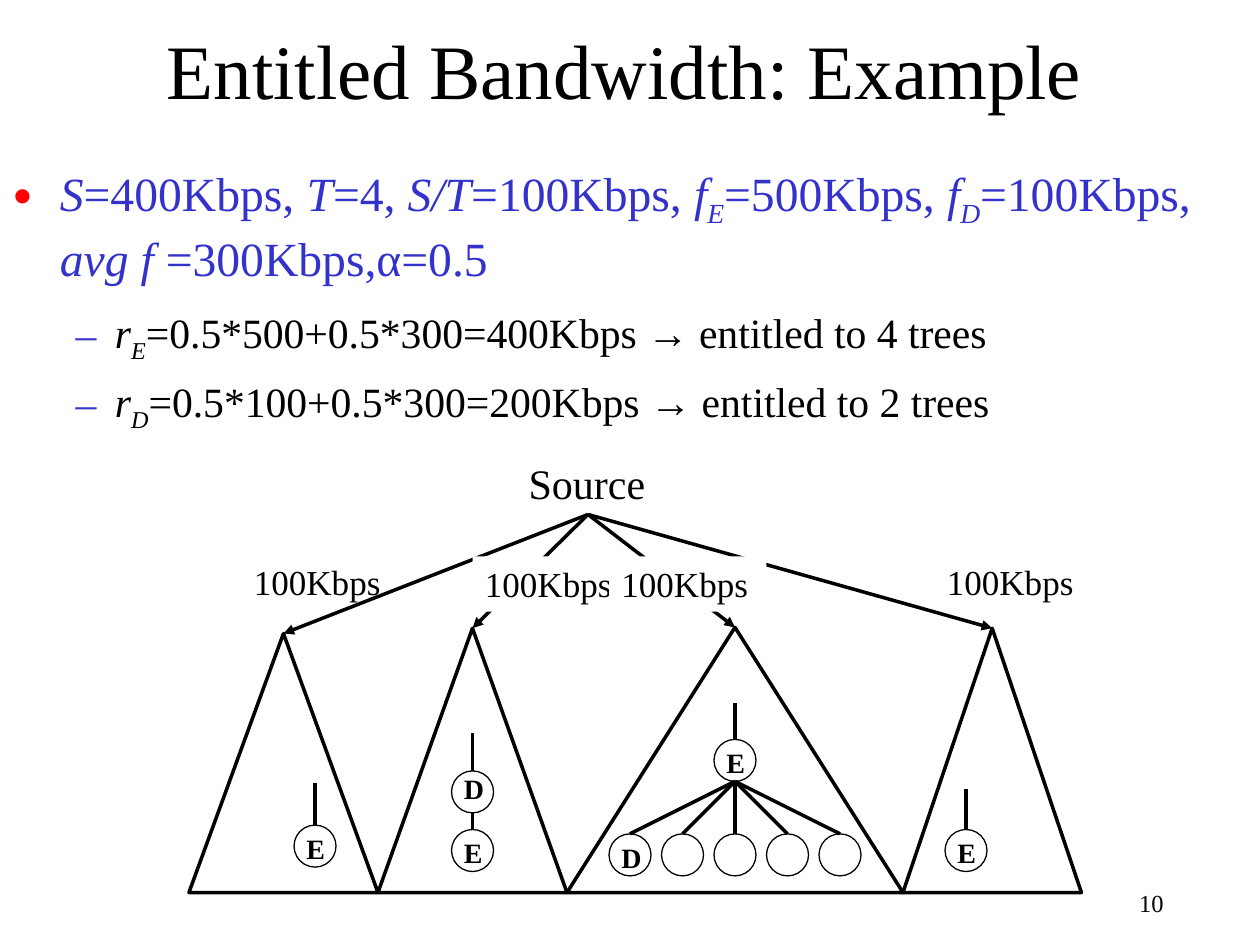
from dataclasses import dataclass
from typing import NamedTuple

import lxml.etree
import pptx
import pptx.dml.color
import pptx.enum.shapes
import pptx.enum.text
import pptx.oxml.ns
import pptx.util

Pt = pptx.util.Pt
qn = pptx.oxml.ns.qn
Kind = pptx.enum.shapes.MSO_SHAPE
Align = pptx.enum.text.PP_ALIGN
INK = {"black": "000000", "blue": "3333CC", "red": "FF0000", "white": "FFFFFF"}
FACE = "Times New Roman"
SIDE = 24  # diameter of a node
BASE = 510  # common foot of the trees


class Run(NamedTuple):
    text: str
    ital: bool = False
    sub: bool = False
    face: str = FACE


class Tree(NamedTuple):
    left: float
    top: float
    width: float

    @property
    def apex(self) -> tuple[float, float]:
        return self.left + self.width / 2, self.top


class Node(NamedTuple):
    mid: float
    top: float
    mark: str = ""
    stem: float = 0
    lift: float = 0


class Label(NamedTuple):
    left: float
    top: float
    fill: bool = True


@dataclass
class Item:
    runs: list[Run]
    size: float
    color: str
    mark: str
    tint: str
    scale: int
    left: float
    hang: float
    gap: float
    level: int = 0


def rgb(name: str) -> pptx.dml.color.RGBColor:
    return pptx.dml.color.RGBColor.from_string(INK[name])


def add_run(para, run: Run, size: float, color: str = "black", bold: bool = False) -> None:
    piece = para.add_run()
    piece.text = run.text
    font = piece.font
    font.name, font.size, font.bold = run.face, Pt(size), bold
    font.italic = run.ital
    font.color.rgb = rgb(color)
    if run.sub:
        font._element.set("baseline", "-25000")


def add_item(para, item: Item) -> None:
    para.level = item.level
    props = para._p.get_or_add_pPr()
    props.set("marL", str(Pt(item.left)))
    props.set("indent", str(-Pt(item.hang)))
    tint = lxml.etree.SubElement(props, qn("a:buClr"))
    lxml.etree.SubElement(tint, qn("a:srgbClr"), val=INK[item.tint])
    lxml.etree.SubElement(props, qn("a:buSzPct"), val=str(item.scale * 1000))
    lxml.etree.SubElement(props, qn("a:buFont"), typeface=FACE)
    lxml.etree.SubElement(props, qn("a:buChar"), char=item.mark)
    para.space_before = Pt(item.gap)
    for run in item.runs:
        add_run(para, run, item.size, item.color)


def place(shape, left: float, top: float, width: float, height: float) -> None:
    shape.left, shape.top, shape.width, shape.height = map(Pt, (left, top, width, height))


def add_text(slide, text: str, box: tuple, size: float, bold=False, align=Align.LEFT, fill=False) -> None:
    shape = slide.shapes.add_textbox(*map(Pt, box))
    if fill:
        shape.fill.solid()
        shape.fill.fore_color.rgb = rgb("white")
    shape.text_frame.word_wrap = True
    para = shape.text_frame.paragraphs[0]
    para.alignment = align
    add_run(para, Run(text), size, bold=bold)


def add_outline(slide, kind, box: tuple, weight: float) -> None:
    shape = slide.shapes.add_shape(kind, *map(Pt, box))
    shape.shadow.inherit = False
    shape.fill.background()
    shape.line.color.rgb = rgb("black")
    shape.line.width = Pt(weight)


def add_line(slide, start: tuple, end: tuple, arrow: bool = False) -> None:
    line = slide.shapes.add_connector(
        pptx.enum.shapes.MSO_CONNECTOR.STRAIGHT, *map(Pt, (*start, *end)))
    line.line.color.rgb = rgb("black")
    line.line.width = Pt(2)
    if arrow:
        lxml.etree.SubElement(line.line._get_or_add_ln(), qn("a:tailEnd"), type="triangle")
    lxml.etree.SubElement(line._element.spPr, qn("a:effectLst"))


def add_node(slide, node: Node) -> None:
    left = node.mid - SIDE / 2
    if node.stem:
        add_line(slide, (node.mid, node.top), (node.mid, node.top - node.stem))
    add_outline(slide, Kind.OVAL, (left, node.top, SIDE, SIDE), 0.75)
    if node.mark:
        add_text(slide, node.mark, (left, node.top - node.lift, SIDE, 26.6), 16, bold=True)


def rate(name: str, sum_: str, trees: int, gap: float) -> Item:
    runs = [Run("r", True), Run(name, True, True), Run(f"={sum_}Kbps "),
            Run("→", face="Arial"), Run(f" entitled to {trees} trees")]
    return Item(runs, 23.8, "black", "–", "blue", 100, 58.5, 22.5, gap, 1)


GIVEN = Item(
    [Run("S", True), Run("=400Kbps, "), Run("T", True), Run("=4, "),
     Run("S/T", True), Run("=100Kbps, "), Run("f", True), Run("E", True, True),
     Run("=500Kbps, "), Run("f", True), Run("D", True, True), Run("=100Kbps, "),
     Run("avg f ", True), Run("=300Kbps,α=0.5")],
    27.2, "blue", "•", "red", 125, 27, 27, 0)
ITEMS = [GIVEN, rate("E", "0.5*500+0.5*300=400", 4, 12), rate("D", "0.5*100+0.5*300=200", 2, 7)]
ROOT = (336, 294)
TREES = [Tree(108, 362, 108), Tree(216, 359, 108), Tree(324, 358.5, 192), Tree(516, 359, 102)]
LABELS = [Label(138, 317, False), Label(270, 318), Label(534, 317), Label(348, 318)]
HUB = Node(420, 422.5, "E", 21)
LEAVES = [Node(360 + 30 * i, 476.5, "" if i else "D") for i in range(5)]
NODES = [Node(180, 471.5, "E", 24), Node(270, 440.5, "D", 21.5, 3), Node(270, 474, "E", 9.5),
         HUB, Node(552, 474, "E", 23), *LEAVES]


def main() -> None:
    deck = pptx.Presentation()
    deck.slide_width, deck.slide_height = Pt(720), Pt(540)
    slide = deck.slides.add_slide(deck.slide_layouts[1])

    title, body = slide.placeholders[0], slide.placeholders[1]
    place(title, 6, 0, 702, 78)
    add_run(title.text_frame.paragraphs[0], Run("Entitled Bandwidth: Example"), 44)
    place(body, 0, 90, 720, 168.5)
    frame = body.text_frame
    for holder in (title, body):
        holder.text_frame.auto_size = pptx.enum.text.MSO_AUTO_SIZE.NONE
    for i, item in enumerate(ITEMS):
        add_item(frame.add_paragraph() if i else frame.paragraphs[0], item)

    add_text(slide, "Source", (295, 258, 83, 36), 24)
    for tree in TREES:
        add_outline(slide, Kind.ISOSCELES_TRIANGLE, (*tree, BASE - tree.top), 2)
        add_line(slide, ROOT, tree.apex, arrow=True)
    for node in NODES:
        add_node(slide, node)
    for leaf in LEAVES:
        add_line(slide, (HUB.mid, HUB.top + SIDE), (leaf.mid, leaf.top))
    for label in LABELS:
        add_text(slide, "100Kbps", (label.left, label.top, 90, 31.5), 20, fill=label.fill)
    add_text(slide, "10", (522, 504, 150, 36), 14, align=Align.RIGHT)

    deck.save("out.pptx")


if __name__ == "__main__":
    main()
